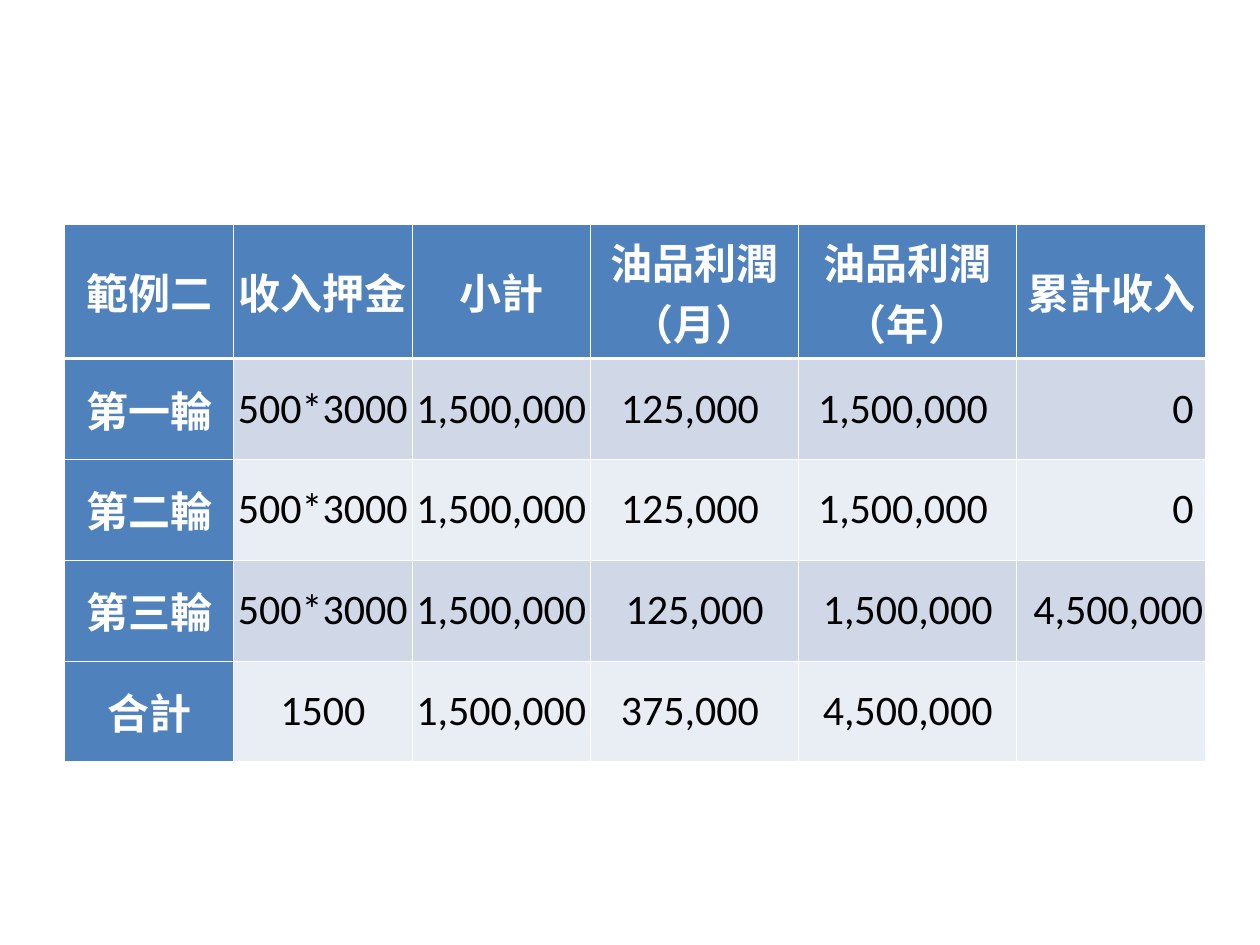
from lxml.etree import SubElement
from pptx import Presentation
from pptx.dml.color import RGBColor
from pptx.enum.text import MSO_ANCHOR, PP_ALIGN
from pptx.oxml.ns import qn
from pptx.util import Pt

WHITE, BLACK = "FFFFFF", "000000"
HEADING_FILL = "4F81BD"
BAND_FILLS = ("E9EDF4", "D0D8E8")  # even rows, odd rows
THIN, THICK = 0.45, 1.47

COLUMN_WIDTHS = (96.5, 102, 102, 119, 124.5, 108)
ROW_HEIGHT = 57.6
ROUNDS = (
    ("範例二", "收入押金", "小計", "油品利潤（月）", "油品利潤（年）", "累計收入"),
    ("第一輪", "500*3000", "1,500,000 ", "125,000 ", "1,500,000 ", "0 "),
    ("第二輪", "500*3000", "1,500,000 ", "125,000 ", "1,500,000 ", "0 "),
    ("第三輪", "500*3000", "1,500,000 ", "125,000", "1,500,000", "4,500,000"),
    ("合計", "1500", "1,500,000", "375,000 ", "4,500,000", ""),
)


def colour(hex_string):
    return RGBColor.from_string(hex_string)


def add_borders(cell, row):
    """White rules, heavier between the heading row and the body."""
    widths = {
        "a:lnL": THIN,
        "a:lnR": THIN,
        "a:lnT": THICK if row == 1 else THIN,
        "a:lnB": THICK if row == 0 else THIN,
    }
    properties = cell._tc.get_or_add_tcPr()
    for side, width in widths.items():
        line = SubElement(properties, qn(side), w=str(int(Pt(width))))
        fill = SubElement(line, qn("a:solidFill"))
        SubElement(fill, qn("a:srgbClr"), val=WHITE)


def format_cell(cell, row, column):
    heading = row == 0 or column == 0
    cell.vertical_anchor = MSO_ANCHOR.MIDDLE
    cell.margin_left = cell.margin_right = Pt(1.44)
    cell.margin_top = cell.margin_bottom = Pt(3.6)
    add_borders(cell, row)
    cell.fill.solid()
    cell.fill.fore_color.rgb = colour(HEADING_FILL if heading else BAND_FILLS[row % 2])


def write_cell(cell, words, row, column):
    heading = row == 0 or column == 0
    last_amount = row > 0 and column == len(COLUMN_WIDTHS) - 1
    paragraph = cell.text_frame.paragraphs[0]
    paragraph.alignment = PP_ALIGN.RIGHT if last_amount else PP_ALIGN.CENTER
    run = paragraph.add_run()
    run.text = words
    run.font.name = "Calibri"
    run.font.size = Pt(24)
    run.font.bold = heading
    run.font.color.rgb = colour(WHITE if heading else BLACK)


def add_income_table(slide):
    income = slide.shapes.add_table(
        len(ROUNDS), len(COLUMN_WIDTHS), Pt(37), Pt(128),
        Pt(sum(COLUMN_WIDTHS)), Pt(ROW_HEIGHT * len(ROUNDS)),
    ).table
    income.first_col = True
    for column, width in zip(income.columns, COLUMN_WIDTHS):
        column.width = Pt(width)
    for row, entries in enumerate(ROUNDS):
        income.rows[row].height = Pt(ROW_HEIGHT)
        for column, words in enumerate(entries):
            cell = income.cell(row, column)
            format_cell(cell, row, column)
            if words:
                write_cell(cell, words, row, column)


def main():
    deck = Presentation()
    deck.slide_width, deck.slide_height = Pt(720), Pt(540)
    slide = deck.slides.add_slide(deck.slide_layouts[6])  # blank layout
    # Deposits and oil profit per round
    add_income_table(slide)
    deck.save("out.pptx")


if __name__ == "__main__":
    main()
